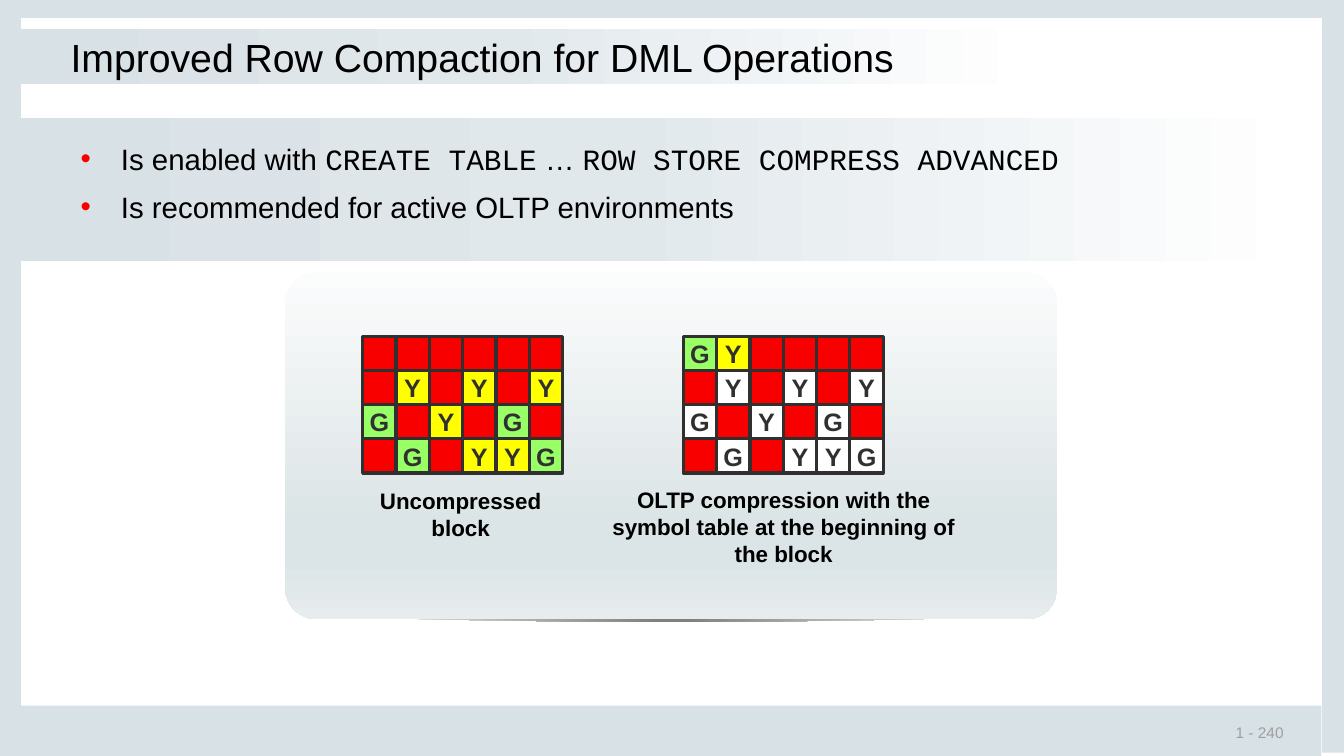
import lxml.etree
import pptx
import pptx.dml.color
import pptx.enum.shapes
import pptx.enum.text
import pptx.oxml.ns
import pptx.util

Cm = pptx.util.Cm
Pt = pptx.util.Pt
SHAPE = pptx.enum.shapes.MSO_SHAPE
ALIGN = pptx.enum.text.PP_ALIGN
ANCHOR = pptx.enum.text.MSO_ANCHOR
qn = pptx.oxml.ns.qn

COLORS = {
    "frame": "D8E1E6", "mist": "E1E8EC", "white": "FFFFFF", "black": "000000",
    "gray": "9F9F9F", "shade": "808080", "panel_top": "FBFCFC",
    "panel": "DBE4E6", "panel_end": "E7EDEE", "red": "F80000",
    "yellow": "FFFF00", "green": "99FF66", "ink": "303030",
}
BAND = [(0, "frame"), (47, "mist"), (100, "white")]
PANEL = [(0, "panel_top"), (74, "panel"), (83, "panel"), (100, "panel_end")]
GLOW = [(4, "shade"), (100, "white")]
CELL_FILLS = {".": "red", "Y": "yellow", "G": "green", "y": "white", "g": "white"}
UNCOMPRESSED = ["......", ".Y.Y.Y", "G.Y.G.", ".G.YYG"]
COMPRESSED = ["GY....", ".y.y.y", "g.y.g.", ".g.yyg"]


def rgb(name):
    return pptx.dml.color.RGBColor.from_string(COLORS[name])


class SlideBuilder:
    font = "Arial"
    mono = "Courier New"
    cell_width = 0.84
    cell_height = 0.86

    def __init__(self, slide):
        self.s = slide

    def shape(self, box, fill=None, kind=SHAPE.RECTANGLE):
        sp = self.s.shapes.add_shape(kind, *map(Cm, box))
        return self.finish(sp, fill)

    def finish(self, sp, fill):
        sp.shadow.inherit = False
        sp.line.fill.background()
        if fill:
            sp.fill.solid()
            sp.fill.fore_color.rgb = rgb(fill)
        return sp

    def gradient(self, sp, stops, angle=None):
        sp.fill.gradient()
        grad = sp._element.spPr.find(qn("a:gradFill"))
        for child in list(grad):
            grad.remove(child)
        stop_list = lxml.etree.SubElement(grad, qn("a:gsLst"))
        for position, color in stops:
            stop = lxml.etree.SubElement(stop_list, qn("a:gs"), pos=str(position * 1000))
            lxml.etree.SubElement(stop, qn("a:srgbClr"), val=COLORS[color])
        if angle is None:
            circle = lxml.etree.SubElement(grad, qn("a:path"), path="circle")
            lxml.etree.SubElement(circle, qn("a:fillToRect"),
                                  l="50000", t="50000", r="50000", b="50000")
        else:
            lxml.etree.SubElement(grad, qn("a:lin"), ang=str(angle * 60000), scaled="0")

    def panel_shadow(self, left, top, width, depth):
        steps = 40
        curve = [(2 * i / steps - 1) for i in range(steps + 1)]
        points = [(Cm(left + width * (t + 1) / 2), Cm(top + depth * (1 - t * t)))
                  for t in curve]
        outline = self.s.shapes.build_freeform(*points[0], scale=1.0)
        outline.add_line_segments(points[1:], close=True)
        sp = self.finish(outline.convert_to_shape(), None)
        self.gradient(sp, GLOW)

    def run(self, p, text, size, color="black", bold=False, font=None):
        r = p.add_run()
        r.text = text
        r.font.name = font or self.font
        r.font.size = Pt(size)
        r.font.bold = bold
        r.font.color.rgb = rgb(color)

    def frame(self, sp, inset, wrap=True, anchor=ANCHOR.TOP):
        tf = sp.text_frame
        tf.margin_left = tf.margin_right = Cm(inset[0])
        tf.margin_top = tf.margin_bottom = Cm(inset[1])
        tf.word_wrap = wrap
        tf.vertical_anchor = anchor
        return tf

    def text(self, box, lines, size, color="black", bold=False, align=ALIGN.LEFT,
             inset=(0.05, 0.05), anchor=ANCHOR.TOP):
        sp = self.s.shapes.add_textbox(*map(Cm, box))
        tf = self.frame(sp, inset, anchor=anchor)
        for i, line in enumerate(lines):
            p = tf.add_paragraph() if i else tf.paragraphs[0]
            p.alignment = align
            self.run(p, line, size, color, bold)

    def bullets(self, box, items, size):
        sp = self.s.shapes.add_textbox(*map(Cm, box))
        tf = self.frame(sp, (0.05, 0.05))
        for i, item in enumerate(items):
            p = tf.add_paragraph() if i else tf.paragraphs[0]
            pPr = p._p.get_or_add_pPr()
            pPr.set("marL", str(Cm(1.27)))
            pPr.set("indent", str(Cm(-1.02)))
            color = lxml.etree.SubElement(pPr, qn("a:buClr"))
            lxml.etree.SubElement(color, qn("a:srgbClr"), val=COLORS["red"])
            lxml.etree.SubElement(pPr, qn("a:buFont"), typeface=self.font)
            lxml.etree.SubElement(pPr, qn("a:buChar"), char="•")
            if i:
                p.space_before = Pt(9)
            for text, font in item:
                self.run(p, text, size, font=font)

    def block(self, left, top, rows):
        for row, symbols in enumerate(rows):
            for column, symbol in enumerate(symbols):
                box = (left + column * self.cell_width, top + row * self.cell_height,
                       self.cell_width, self.cell_height)
                sp = self.shape(box, CELL_FILLS[symbol])
                sp.line.color.rgb = rgb("ink")
                sp.line.width = Pt(2.25)
                if symbol != ".":
                    tf = self.frame(sp, (0, 0), False, ANCHOR.MIDDLE)
                    p = tf.paragraphs[0]
                    p.alignment = ALIGN.CENTER
                    self.run(p, symbol.upper(), 18, "ink", True)


def main():
    prs = pptx.Presentation()
    prs.slide_width, prs.slide_height = Cm(33.87), Cm(19.05)
    b = SlideBuilder(prs.slides.add_slide(prs.slide_layouts[6]))

    for edge in [(33.32, 0, 0.55, 18.97), (0, 0, 0.53, 18.95),
                 (0, 17.78, 33.3, 1.27), (0, 0, 33.87, 0.45)]:
        b.shape(edge, "frame")
    b.text((30.81, 18.21, 3, 0.51), ["1 - 240"], 11, "gray",
           inset=(0.33, 0.18), anchor=ANCHOR.MIDDLE)

    for band in [(0.46, 2.97, 32.33, 3.61), (0.51, 0.74, 25.53, 1.37)]:
        b.gradient(b.shape(band), BAND, 0)
    b.panel_shadow(7.65, 15.52, 18.55, 0.15)
    panel = b.shape((7.19, 6.86, 19.46, 8.74), kind=SHAPE.ROUNDED_RECTANGLE)
    panel.adjustments[0] = 0.09
    b.gradient(panel, PANEL, 90)

    b.text((1.73, 0.8, 30.4, 2.4), ["Improved Row Compaction for DML Operations"], 28)

    caption = {"size": 16, "bold": True, "align": ALIGN.CENTER, "inset": (0.25, 0.13)}
    b.block(9.14, 8.48, UNCOMPRESSED)
    b.text((9.3, 12.14, 4.62, 1.63), ["Uncompressed", "block"], **caption)
    b.block(17.22, 8.48, COMPRESSED)
    b.text((14.76, 12.12, 9.98, 2.31),
           ["OLTP compression with the symbol table at the beginning of the block"],
           **caption)

    b.bullets((1.73, 3.5, 30.4, 2.21), [
        [("Is enabled with ", b.font), ("CREATE TABLE", b.mono), (" … ", b.font),
         ("ROW STORE COMPRESS ADVANCED", b.mono)],
        [("Is recommended for active OLTP environments", b.font)],
    ], 21)

    prs.save("out.pptx")


if __name__ == "__main__":
    main()
